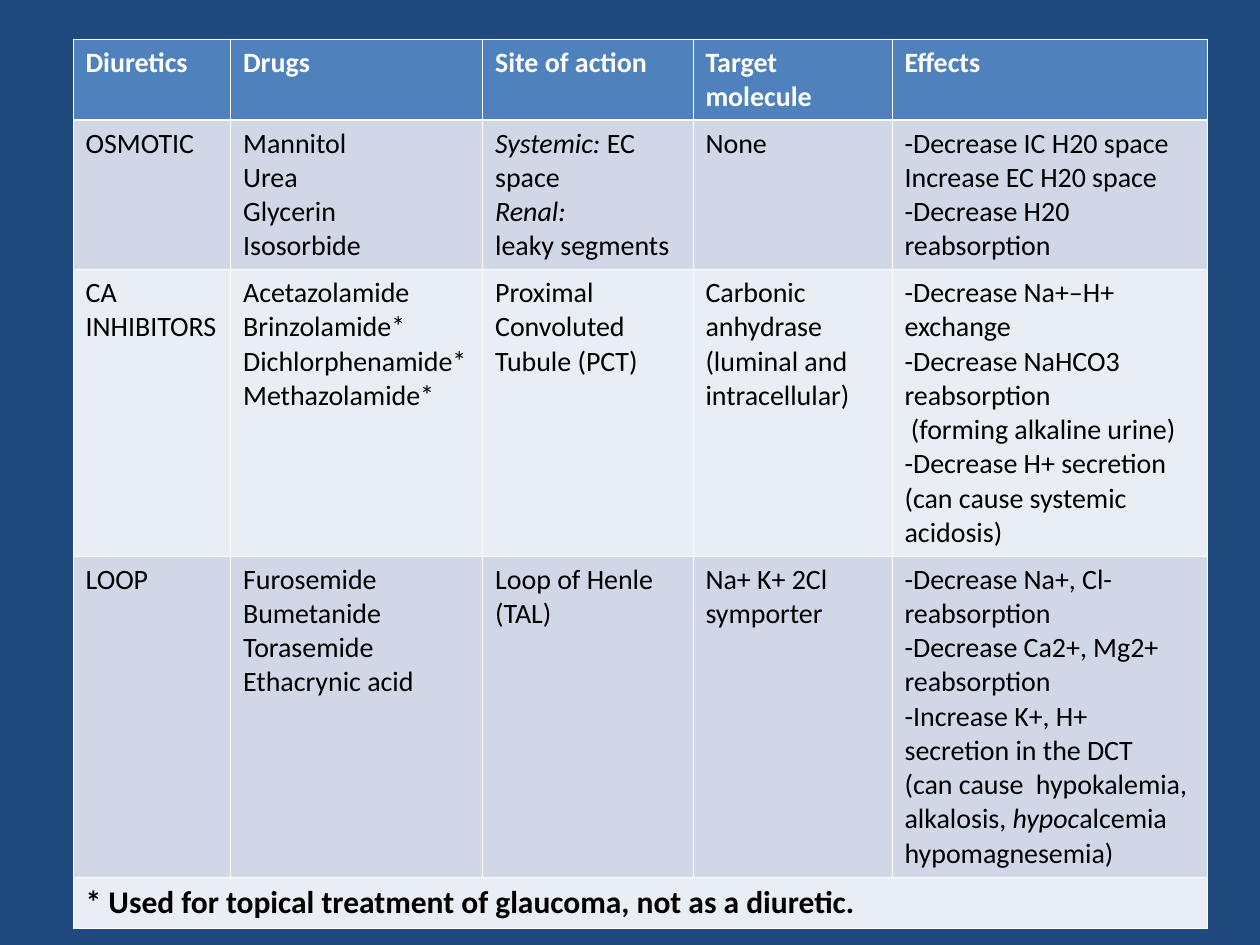
import pptx
import pptx.util
import pptx.dml.color
import pptx.oxml.ns
import lxml.etree

Inches, Pt = pptx.util.Inches, pptx.util.Pt
RGB = pptx.dml.color.RGBColor.from_string

theme = {
    "font": "Calibri",
    "body": 16,
    "note": 18,
    "back": "1F497D",
    "head": "4F81BD",
    "bands": ["E9EDF4", "D0D8E8"],
    "light": "FFFFFF",
    "dark": "000000",
    "thin": 0.45,
    "thick": 1.47,
}

col_widths = [1.25, 2, 1.67, 1.58, 2.5]
row_heights = [0.63, 1.17, 2.23, 2.5, 0.41]

# Underscores enclose italic text; line breaks separate paragraphs.
rows = [
    ["Diuretics", "Drugs", "Site of action", "Target molecule", "Effects"],
    [
        "OSMOTIC",
        "Mannitol\nUrea\nGlycerin\nIsosorbide",
        "_Systemic: _EC space\n_Renal:_\nleaky segments",
        "None",
        "-Decrease IC H20 space\nIncrease EC H20 space\n-Decrease H20 reabsorption",
    ],
    [
        "CA INHIBITORS",
        "Acetazolamide\nBrinzolamide*\nDichlorphenamide*\nMethazolamide*",
        "Proximal Convoluted Tubule (PCT)",
        "Carbonic\nanhydrase\n(luminal and\nintracellular)",
        "-Decrease Na+–H+ exchange\n-Decrease NaHCO3 reabsorption\n"
        " (forming alkaline urine)\n-Decrease H+ secretion\n(can cause systemic acidosis)",
    ],
    [
        "LOOP",
        "Furosemide\nBumetanide\nTorasemide\nEthacrynic acid",
        "Loop of Henle\n(TAL)",
        "Na+ K+ 2Cl symporter",
        "-Decrease Na+, Cl- reabsorption\n-Decrease Ca2+, Mg2+ reabsorption\n"
        "-Increase K+, H+ secretion in the DCT\n"
        "(can cause  hypokalemia, alkalosis, _hypoc_alcemia\nhypomagnesemia)",
    ],
    ["* Used for topical treatment of glaucoma, not as a diuretic.", "", "", "", ""],
]


def add_border(cell, side, width):
    qn = pptx.oxml.ns.qn
    ln = lxml.etree.SubElement(cell._tc.get_or_add_tcPr(), qn("a:ln" + side), w=str(Pt(width)))
    fill = lxml.etree.SubElement(ln, qn("a:solidFill"))
    lxml.etree.SubElement(fill, qn("a:srgbClr"), val=theme["light"])


def add_text(cell, text, size, color, bold):
    tf = cell.text_frame
    for i, line in enumerate(text.split("\n")):
        p = tf.add_paragraph() if i else tf.paragraphs[0]
        for j, part in enumerate(line.split("_")):
            if part:
                r = p.add_run()
                r.text = part
                r.font.name = theme["font"]
                r.font.size = Pt(size)
                r.font.bold = bold
                r.font.italic = j % 2 == 1
                r.font.color.rgb = RGB(color)


prs = pptx.Presentation()
prs.slide_width, prs.slide_height = Inches(10), Inches(7.5)
s = prs.slides.add_slide(prs.slide_layouts[6])
s.background.fill.solid()
s.background.fill.fore_color.rgb = RGB(theme["back"])

table = s.shapes.add_table(
    len(rows), len(col_widths), Inches(0.58), Inches(0.31),
    Inches(sum(col_widths)), Inches(sum(row_heights)),
).table
for column, width in zip(table.columns, col_widths):
    column.width = Inches(width)
for row, height in zip(table.rows, row_heights):
    row.height = Inches(height)

last = len(rows) - 1
table.cell(last, 0).merge(table.cell(last, len(col_widths) - 1))

for i, texts in enumerate(rows):
    header, note = i == 0, i == last
    for j, text in enumerate(texts):
        cell = table.cell(i, j)
        for side in "LRTB":
            heavy = (i, side) in [(0, "B"), (1, "T")]
            add_border(cell, side, theme["thick" if heavy else "thin"])
        cell.fill.solid()
        cell.fill.fore_color.rgb = RGB(theme["head"] if header else theme["bands"][i % 2])
        add_text(cell, text, theme["note" if note else "body"],
                 theme["light" if header else "dark"], header or note)

prs.save("out.pptx")
